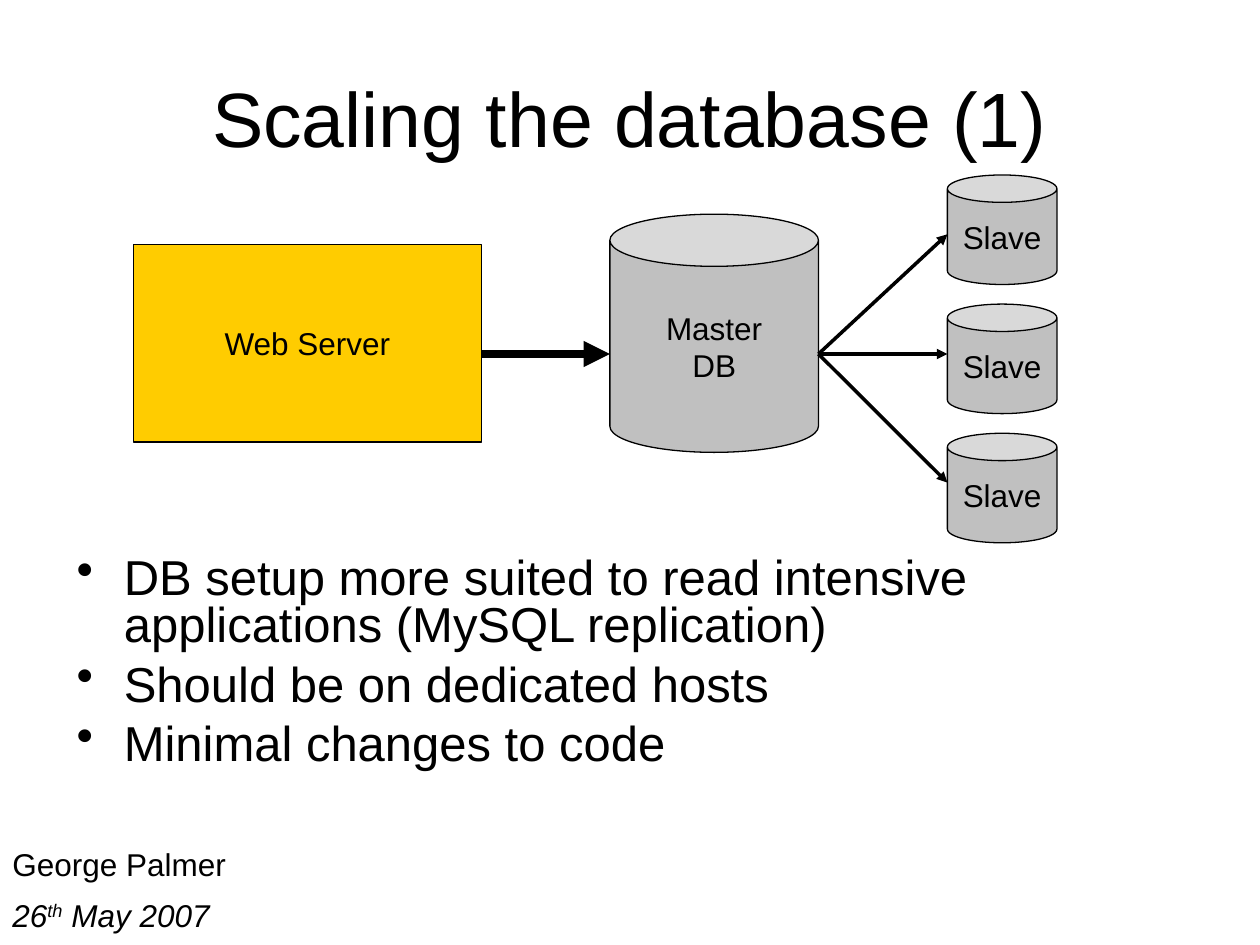
from dataclasses import dataclass

from lxml.etree import SubElement
from pptx import Presentation
from pptx.dml.color import RGBColor as Rgb
from pptx.enum.shapes import MSO_CONNECTOR as Connector, MSO_SHAPE as Preset
from pptx.enum.text import MSO_ANCHOR as Anchor, PP_ALIGN as Align
from pptx.oxml.ns import qn
from pptx.util import Pt


@dataclass(frozen=True)
class Theme:
    """Colours, font and type sizes of the slide."""
    ink: str = "000000"
    server: str = "FFCC00"
    database: str = "C0C0C0"
    font: str = "Arial"
    title: int = 44
    body: int = 28
    label: int = 18


THEME = Theme()


def add_bullet(paragraph, indent=27):
    """Give the paragraph a hanging round bullet."""
    properties = paragraph._p.get_or_add_pPr()
    properties.set("marL", str(Pt(indent)))
    properties.set("indent", str(-Pt(indent)))
    colour = SubElement(properties, qn("a:buClr"))
    SubElement(colour, qn("a:srgbClr"), val=THEME.ink)
    SubElement(properties, qn("a:buChar"), char="•")


def write(frame, paragraphs, size=THEME.label, align=Align.LEFT, anchor=Anchor.TOP,
          wrap=True, bullet=False, italic=None, spacing=None, before=0):
    """Fill a frame with paragraphs, each a list of (text, baseline) runs or a string."""
    frame.word_wrap = wrap
    frame.vertical_anchor = anchor
    for number, content in enumerate(paragraphs):
        paragraph = frame.add_paragraph() if number else frame.paragraphs[0]
        if bullet:
            add_bullet(paragraph)
        paragraph.alignment = align
        if spacing:
            paragraph.line_spacing = spacing
        if number and before:
            paragraph.space_before = Pt(before)
        runs = [(content, 0)] if isinstance(content, str) else content
        for text, baseline in runs:
            run = paragraph.add_run()
            run.text = text
            run.font.name = THEME.font
            run.font.size = Pt(size)
            run.font.italic = italic
            run.font.color.rgb = Rgb.from_string(THEME.ink)
            if baseline:
                run._r.get_or_add_rPr().set("baseline", str(baseline * 1000))


def add_text(slide, box, paragraphs, **style):
    """Add a text box at (left, top, width, height)."""
    write(slide.shapes.add_textbox(*map(Pt, box)).text_frame, paragraphs, **style)


def add_node(slide, preset, box, lines, fill):
    """Add a labelled, outlined shape of the diagram."""
    node = slide.shapes.add_shape(preset, *map(Pt, box))
    node.shadow.inherit = False
    node.fill.solid()
    node.fill.fore_color.rgb = Rgb.from_string(fill)
    node.line.color.rgb = Rgb.from_string(THEME.ink)
    node.line.width = Pt(0.75)
    write(node.text_frame, lines, align=Align.CENTER, anchor=Anchor.MIDDLE, wrap=False)


def add_arrow(slide, start, end, width):
    """Add a straight arrow between two points."""
    arrow = slide.shapes.add_connector(Connector.STRAIGHT, *map(Pt, start + end))
    arrow.line.color.rgb = Rgb.from_string(THEME.ink)
    arrow.line.width = Pt(width)
    SubElement(arrow.line._get_or_add_ln(), qn("a:tailEnd"), type="triangle")
    SubElement(arrow._element.spPr, qn("a:effectLst"))


def add_diagram(slide):
    """Draw the web server, the master database and its slaves."""
    flow_y, server_right, master_left, master_right = 202.3, 275, 348.5, 467.7
    slave_left, slave_top, slave_size, slave_pitch = 541.4, 100, 62.6, 73.8

    add_node(slide, Preset.CAN, (master_left, 122.4, 119.2, 136.1),
             ["Master", "DB"], THEME.database)
    add_node(slide, Preset.RECTANGLE, (76.3, 139.7, 198.7, 113),
             ["Web Server"], THEME.server)
    add_arrow(slide, (server_right, flow_y), (master_left, flow_y), 5)
    for row, target_y in enumerate((133.9, flow_y, 275.8)):
        top = slave_top + row * slave_pitch
        add_node(slide, Preset.CAN, (slave_left, top, slave_size, slave_size),
                 ["Slave"], THEME.database)
        add_arrow(slide, (master_right, flow_y), (slave_left, target_y), 2)


def main():
    """Build the slide and save it."""
    deck = Presentation()
    deck.slide_width, deck.slide_height = Pt(720), Pt(540)
    slide = deck.slides.add_slide(deck.slide_layouts[6])

    add_text(slide, (0, 479.5, 280.8, 28.8), ["George Palmer"])
    add_text(slide, (0, 508.3, 172.8, 28.8),
             [[("26", 0), ("th", 30), (" May 2007", 0)]], italic=True)
    add_text(slide, (36, 21.6, 648, 90), ["Scaling the database (1)"],
             size=THEME.title, align=Align.CENTER, anchor=Anchor.MIDDLE)
    add_text(slide, (36.7, 315.4, 648, 136),
             ["DB setup more suited to read intensive applications (MySQL replication)",
              "Should be on dedicated hosts",
              "Minimal changes to code"],
             size=THEME.body, bullet=True, spacing=0.8, before=7)
    add_diagram(slide)

    deck.save("out.pptx")


if __name__ == "__main__":
    main()
